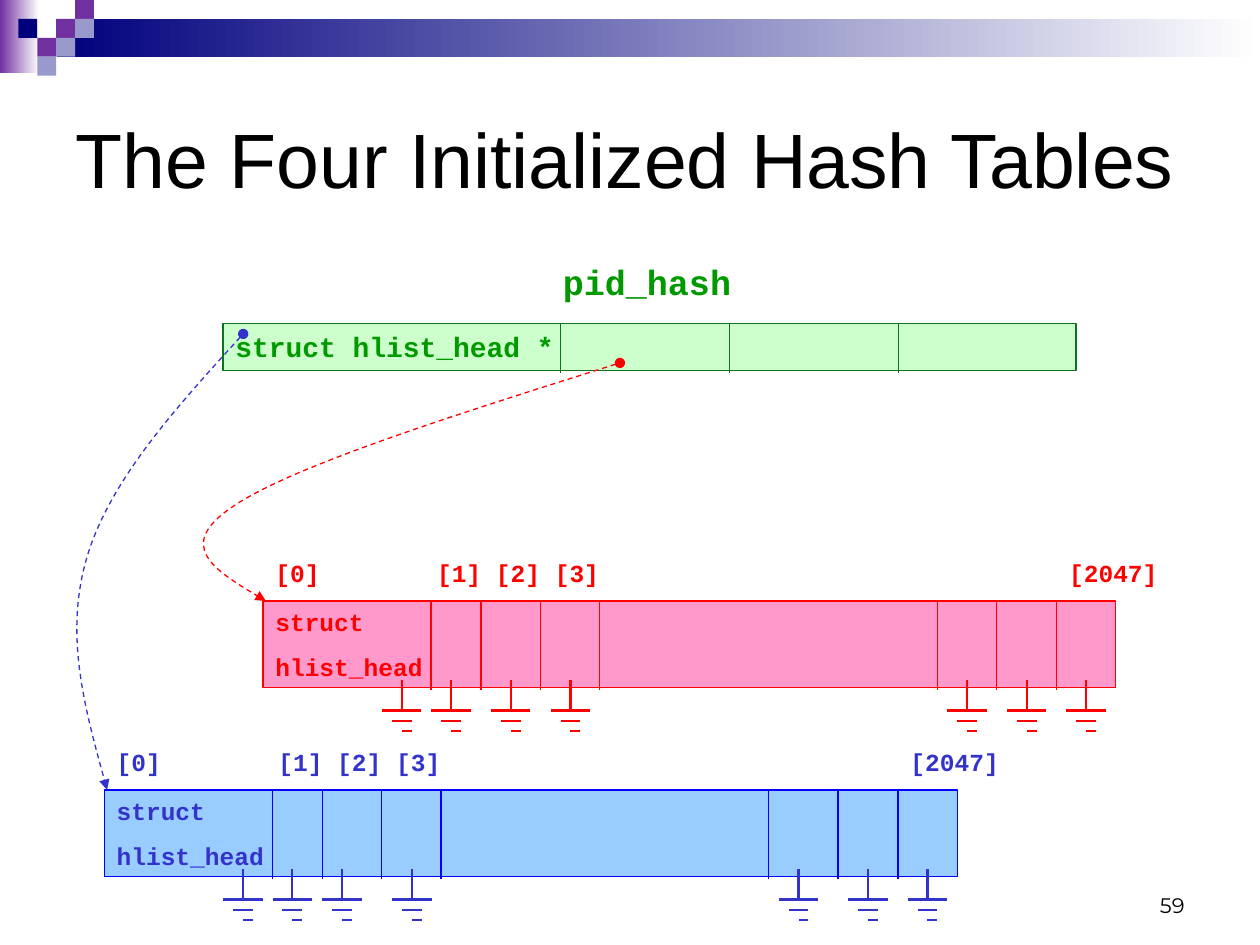
from lxml import etree
from pptx import Presentation
from pptx.dml.color import RGBColor
from pptx.enum import dml, shapes, text
from pptx.oxml import ns
from pptx.util import Pt

THEME = {
    "black": "000000", "white": "FFFFFF",
    "purple": "7030A0", "navy": "00007D", "lavender": "9999CC",
    "green": "009900", "green_fill": "CCFFCC", "green_line": "0C721F",
    "red": "FF0000", "red_fill": "FF99CC",
    "blue": "3333CC", "blue_fill": "99CCFF", "blue_line": "0000FF",
    "body": "Arial", "code": "Courier New", "number": "Montserrat",
    "title_size": 44, "name_size": 20, "pointer_size": 16,
    "entry_size": 14, "number_size": 12,
}


def write(shape, lines, font, size, color, bold=True, space=0):
    frame = shape.text_frame
    frame.word_wrap = True
    frame.vertical_anchor = text.MSO_ANCHOR.TOP
    frame.text = lines
    for paragraph in frame.paragraphs:
        paragraph.alignment = text.PP_ALIGN.LEFT
        paragraph.space_before = Pt(space)
        paragraph.font.name = THEME[font]
        paragraph.font.size = Pt(THEME[size])
        paragraph.font.bold = bold
        paragraph.font.color.rgb = RGBColor.from_string(THEME[color])
    return frame


def draw_line(x1, y1, x2, y2, color, width):
    line = slide.shapes.add_connector(
        shapes.MSO_CONNECTOR.STRAIGHT, Pt(x1), Pt(y1), Pt(x2), Pt(y2))
    line.line.color.rgb = RGBColor.from_string(THEME[color])
    line.line.width = Pt(width)
    etree.SubElement(line.element.spPr, ns.qn("a:effectLst"))


deck = Presentation()
deck.slide_width, deck.slide_height = Pt(720), Pt(540)
slide = deck.slides.add_slide(deck.slide_layouts[5])

# Header bands fading to white
for x, y, w, h, color in [(0, 0, 22.3, 41.8, "purple"),
                          (32.4, 10.8, 687.6, 21.6, "navy")]:
    band = slide.shapes.add_shape(
        shapes.MSO_SHAPE.RECTANGLE, Pt(x), Pt(y), Pt(w), Pt(h))
    band.shadow.inherit = False
    band.line.fill.background()
    band.fill.gradient()
    band.fill.gradient_angle = 0
    for stop, shade in zip(band.fill.gradient_stops, (color, "white")):
        stop.color.rgb = RGBColor.from_string(THEME[shade])

# Header mosaic on a square grid: column, row, colour
tile = 10.8
for column, row, color in [(2, 1, "purple"), (3, 0, "purple"), (3, 1, "lavender"),
                           (1, 2, "purple"), (0, 1, "navy"), (2, 2, "lavender"),
                           (1, 3, "lavender")]:
    square = slide.shapes.add_shape(
        shapes.MSO_SHAPE.RECTANGLE, Pt(10.5 + column * tile), Pt(row * tile),
        Pt(tile), Pt(tile))
    square.shadow.inherit = False
    square.line.fill.background()
    square.fill.solid()
    square.fill.fore_color.rgb = RGBColor.from_string(THEME[color])

# Title and page number
title = slide.shapes.title
title.left, title.top, title.width, title.height = Pt(36), Pt(36), Pt(669.6), Pt(108)
write(title, "The Four Initialized Hash Tables", "body", "title_size", "black", False)
title.text_frame.vertical_anchor = text.MSO_ANCHOR.MIDDLE

page = slide.shapes.add_textbox(Pt(516.2), Pt(491.8), Pt(167.8), Pt(36))
page_frame = write(page, "59", "number", "number_size", "black", False)
page_frame.vertical_anchor = text.MSO_ANCHOR.BOTTOM
page_frame.paragraphs[0].alignment = text.PP_ALIGN.RIGHT

# Name of the pointer array
name = slide.shapes.add_textbox(Pt(314.6), Pt(145.4), Pt(113), Pt(31.7))
write(name, "pid_hash", "code", "name_size", "green", space=12.5)

# Pointer array and hash tables; dividers are offsets from the left edge
TABLE_WIDTH = 487.4
tables = [
    dict(left=127.5, top=185, height=26.8, entry="struct hlist_head *",
         size="pointer_size", space=10, color="green", fill="green_fill",
         line="green_line", dividers=[193, 289.4, 385.9], grounds=[]),
    dict(left=59.6, top=451.4, height=49.7, entry="struct\nhlist_head",
         size="entry_size", space=8.8, color="blue", fill="blue_fill",
         line="blue_line", dividers=[96, 124.6, 158.4, 192.4, 379.6, 419.2, 453.6],
         grounds=[79.2, 107.5, 136, 175.7, 396.7, 436.4, 470.4]),
    dict(left=150.3, top=343.4, height=49.7, entry="struct\nhlist_head",
         size="entry_size", space=8.8, color="red", fill="red_fill",
         line="red", dividers=[96, 124.6, 158.4, 192.4, 385.4, 419.2, 453.6],
         grounds=[79.2, 107.5, 141.5, 175.7, 402.4, 436.4, 470.4]),
]
CHAR_WIDTH = 8.4
for table in tables:
    left, top, height, color = (table[k] for k in ("left", "top", "height", "color"))
    cells = slide.shapes.add_shape(
        shapes.MSO_SHAPE.RECTANGLE, Pt(left), Pt(top), Pt(TABLE_WIDTH), Pt(height))
    cells.shadow.inherit = False
    cells.fill.solid()
    cells.fill.fore_color.rgb = RGBColor.from_string(THEME[table["fill"]])
    cells.line.color.rgb = RGBColor.from_string(THEME[table["line"]])
    cells.line.width = Pt(0.75)
    write(cells, table["entry"], "code", table["size"], color, space=table["space"])

    for offset in table["dividers"]:
        x = left + offset
        draw_line(x, top, x, top + height + 1.4, table["line"], 0.75)

    # Ground symbols mark the empty list heads
    for offset in table["grounds"]:
        x = left + offset
        for x1, y1, x2, y2 in [(0, 45.4, 0, 62.6), (-11.3, 62.6, 11.3, 62.6),
                               (-5.7, 68.4, 5.7, 68.4), (0, 74.2, 5.7, 74.2)]:
            draw_line(x + x1, top + y1, x + x2, top + y2, color, 1.25)

    # Index labels sit on tab stops counted in characters
    if table["grounds"]:
        indices = slide.shapes.add_textbox(Pt(left), Pt(top - 28), Pt(521.3), Pt(24.5))
        frame = write(indices, "[0]\t[1] [2] [3]\t[2047]", "code", "entry_size",
                      color, space=8.8)
        properties = frame.paragraphs[0].font._element.getparent()
        stops = etree.Element(ns.qn("a:tabLst"))
        for characters in (11, 54):
            etree.SubElement(stops, ns.qn("a:tab"), algn="l",
                             pos=str(Pt(characters * CHAR_WIDTH)))
        properties.insert(properties.index(frame.paragraphs[0].font._element), stops)

# Curved pointers from the array to the tables: start, then Bézier points
pointers = [
    ("blue", [(139, 190.8), (100.8, 232.6), (62.6, 275), (49.7, 318.4),
              (36.7, 362.2), (49, 406.8), (61.2, 451.4)]),
    ("red", [(354.2, 207.4), (260.6, 236.9), (167, 266.4), (133.2, 289.4),
             (99.4, 311.8), (125.3, 327.6), (151.9, 343.4)]),
]
for color, points in pointers:
    start, *rest = [(Pt(x), Pt(y)) for x, y in points]
    builder = slide.shapes.build_freeform(*start)
    builder.add_line_segments(rest, close=False)
    pointer = builder.convert_to_shape()
    pointer.shadow.inherit = False
    pointer.fill.background()
    pointer.line.color.rgb = RGBColor.from_string(THEME[color])
    pointer.line.width = Pt(0.75)
    pointer.line.dash_style = dml.MSO_LINE.DASH

    # Merge each three segments into one cubic curve
    segments = pointer.element.xpath(".//a:lnTo")
    outline = segments[0].getparent()
    for first in range(0, len(segments), 3):
        curve = etree.SubElement(outline, ns.qn("a:cubicBezTo"))
        for segment in segments[first:first + 3]:
            curve.append(segment[0])
            outline.remove(segment)
    stroke = pointer.element.xpath("./p:spPr/a:ln")[0]
    etree.SubElement(stroke, ns.qn("a:headEnd"), type="oval")
    etree.SubElement(stroke, ns.qn("a:tailEnd"), type="triangle")

deck.save("out.pptx")
